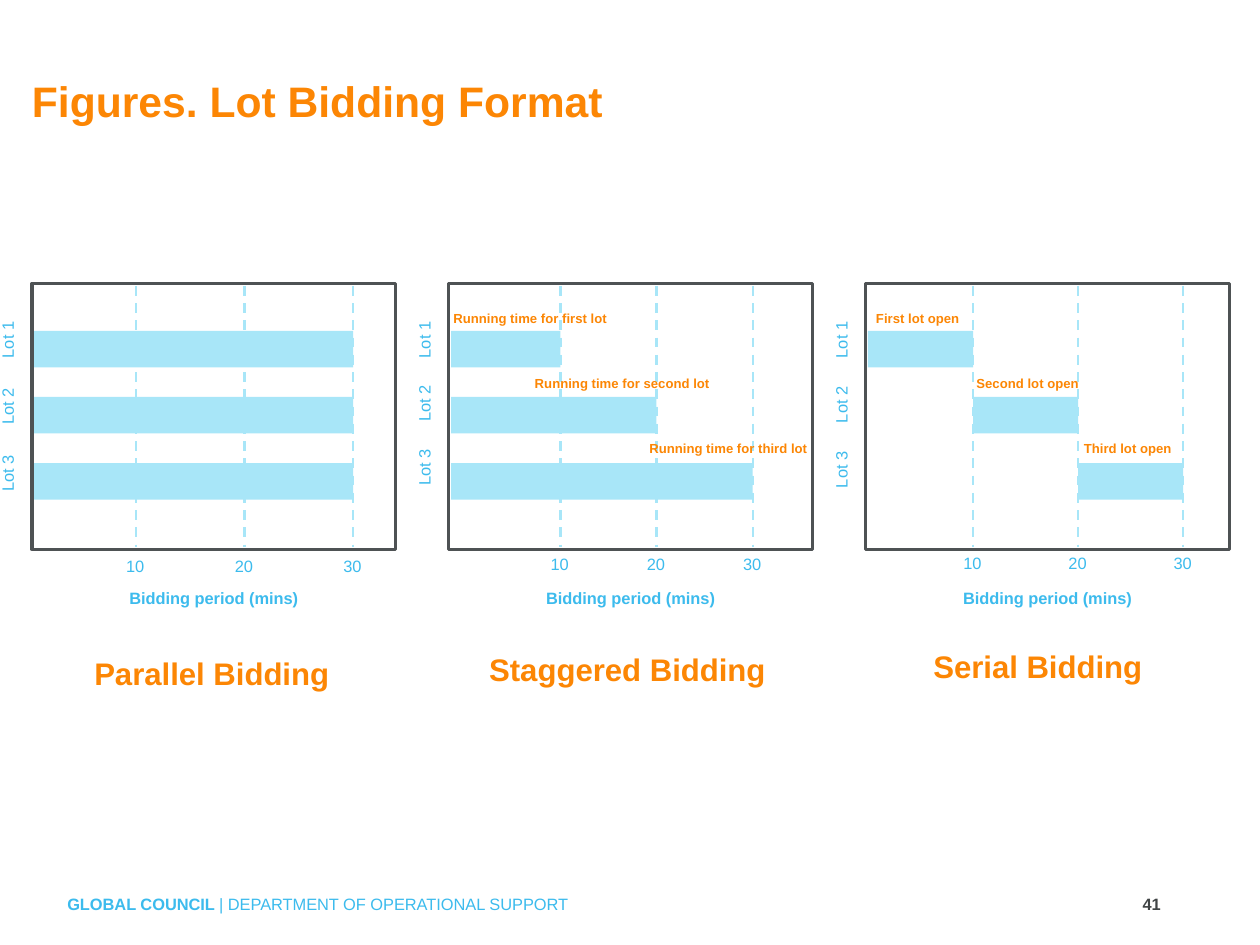
import pptx
import pptx.dml.color
import pptx.enum.dml
import pptx.enum.shapes
import pptx.enum.text
import pptx.oxml.ns
import pptx.util
import lxml.etree

CELL = pptx.util.Inches(0.01)  # the slide is a grid of square cells
COLUMNS, ROWS = 1067, 800
FRAME_WIDTH, FRAME_HEIGHT, FRAME_TOP = 308, 225, 240
FIRST_PANEL, PANEL_PITCH = 27, 353
BAR_TOP, BAR_HEIGHT, LOT_PITCH = 40, 31, 56

ORANGE, SKY, PALE, GREY, DARK = "FC8604", "3CBBED", "A8E6F8", "4E5254", "404445"
ALIGN = pptx.enum.text.PP_ALIGN
ANCHOR = pptx.enum.text.MSO_ANCHOR
INSETS = (10, 5, 10, 5)

PANELS = [
    dict(title="Parallel Bidding", title_width=222, title_center=154,
         first_tick=88, tick_step=92, label_pitch=56.5,
         bars=[(0, 3), (0, 3), (0, 3)], notes=[]),
    dict(title="Staggered Bidding", title_width=257, title_center=153,
         first_tick=94.5, tick_step=81.5, label_pitch=54,
         bars=[(0, 1), (0, 2), (0, 3)],
         notes=[("Running time for first lot", -6, 151),
                ("Running time for second lot", 63, 169),
                ("Running time for third lot", 160, 155)]),
    dict(title="Serial Bidding", title_width=199, title_center=147,
         first_tick=91, tick_step=89, label_pitch=55,
         bars=[(0, 1), (1, 2), (2, 3)],
         notes=[("First lot open", -1, 97),
                ("Second lot open", 84, 112),
                ("Third lot open", 175, 99)]),
]


def cells(*counts):
    return [round(count * CELL) for count in counts]


def color(value):
    return pptx.dml.color.RGBColor.from_string(value)


def add_text(slide, box, runs, size=10, fill=SKY, bold=False, align=ALIGN.LEFT,
             anchor=ANCHOR.TOP, insets=INSETS, wrap=True, upward=False):
    """Place one paragraph; runs is a string or a list of (text, bold)."""
    frame = slide.shapes.add_textbox(*cells(*box)).text_frame
    frame.word_wrap = wrap
    frame.vertical_anchor = anchor
    (frame.margin_left, frame.margin_top,
     frame.margin_right, frame.margin_bottom) = cells(*insets)
    if upward:
        frame._txBody.bodyPr.set("vert", "vert270")
    paragraph = frame.paragraphs[0]
    paragraph.alignment = align
    for text, run_bold in [(runs, bold)] if isinstance(runs, str) else runs:
        run = paragraph.add_run()
        run.text = text
        run.font.name = "Arial"
        run.font.size = pptx.util.Pt(size)
        run.font.bold = run_bold
        run.font.color.rgb = color(fill)


def add_rectangle(slide, box, fill, line=None):
    shape = slide.shapes.add_shape(
        pptx.enum.shapes.MSO_SHAPE.RECTANGLE, *cells(*box))
    shape.shadow.inherit = False
    shape.fill.solid()
    shape.fill.fore_color.rgb = color(fill)
    if line:
        shape.line.color.rgb = color(line)
        shape.line.width = pptx.util.Pt(2)
    else:
        shape.line.fill.background()


def add_gridline(slide, x, top, bottom):
    connector = slide.shapes.add_connector(
        pptx.enum.shapes.MSO_CONNECTOR.STRAIGHT, *cells(x, top, x, bottom))
    connector.line.color.rgb = color(PALE)
    connector.line.width = pptx.util.Pt(1.5)
    connector.line.dash_style = pptx.enum.dml.MSO_LINE.DASH
    lxml.etree.SubElement(connector._element.spPr,
                          pptx.oxml.ns.qn("a:effectLst"))


def add_panel(slide, box, index, panel):
    """Draw one bidding format: frame, lot bars, time axis and caption."""
    left, top, width, height = box
    bottom = top + height
    ticks = [left + panel["first_tick"] + panel["tick_step"] * step
             for step in range(3)]
    edges = [left + 2] + ticks

    add_rectangle(slide, box, "FFFFFF", line=GREY)
    for lot, (start, end) in enumerate(panel["bars"]):
        add_rectangle(slide, (edges[start], top + BAR_TOP + LOT_PITCH * lot,
                              edges[end] - edges[start], BAR_HEIGHT), PALE)
        add_text(slide, (left - 34, top + 8 + panel["label_pitch"] * lot, 37, 65),
                 f"Lot {lot + 1}", upward=True)

    for number, x in enumerate(ticks, 1):
        add_gridline(slide, x, top + 2, bottom - 2)
        add_text(slide, (x - 18, bottom + 1 - 1.5 * index, 36, 27),
                 str(10 * number), wrap=False)

    for lot, (text, offset, note_width) in enumerate(panel["notes"]):
        add_text(slide, (left + offset, top + 18 + 55 * lot, note_width, 24),
                 text, size=8, fill=ORANGE, bold=True, wrap=False)

    add_text(slide, (left, bottom + 28, width, 27), "Bidding period (mins)",
             bold=True, align=ALIGN.CENTER)
    title_left = left + panel["title_center"] - panel["title_width"] / 2
    add_text(slide, (title_left, bottom + 84 - 3 * index, panel["title_width"], 42),
             panel["title"], size=19, fill=ORANGE, bold=True, wrap=False)


def add_footer(slide, box):
    left, top, width, height = box
    style = dict(anchor=ANCHOR.BOTTOM, insets=(0, 0, 0, 0))
    add_text(slide, (left, top, 486, height),
             [("GLOBAL COUNCIL ", True),
              ("| DEPARTMENT OF OPERATIONAL SUPPORT", False)], **style)
    add_text(slide, (left + width - 105, top, 105, height), "41",
             fill=DARK, bold=True, align=ALIGN.RIGHT, **style)


def main():
    presentation = pptx.Presentation()
    presentation.slide_width, presentation.slide_height = cells(COLUMNS, ROWS)
    slide = presentation.slides.add_slide(presentation.slide_layouts[6])
    add_text(slide, (27, 25, 1012, 87), "Figures. Lot Bidding Format", size=26,
             fill=ORANGE, bold=True, anchor=ANCHOR.BOTTOM, insets=(0, 0, 0, 5))
    for index, panel in enumerate(PANELS):
        box = (FIRST_PANEL + PANEL_PITCH * index, FRAME_TOP,
               FRAME_WIDTH, FRAME_HEIGHT)
        add_panel(slide, box, index, panel)
    add_footer(slide, (57, 757, 926, 17))
    presentation.save("out.pptx")


if __name__ == "__main__":
    main()
